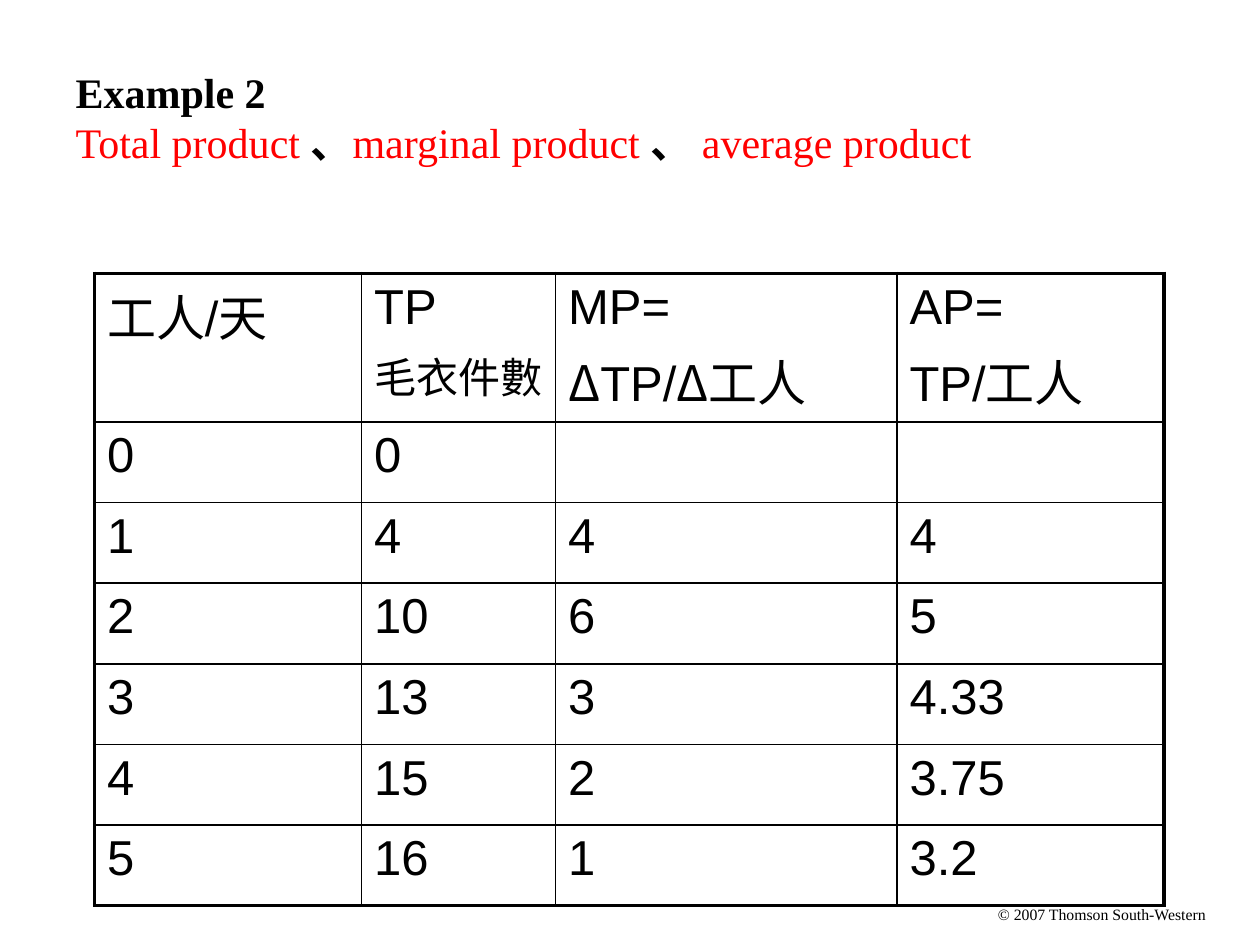
from lxml import etree
from pptx import Presentation
from pptx.dml.color import RGBColor
from pptx.enum import text
from pptx.oxml import ns
from pptx.util import Inches, Pt

BLACK = RGBColor(0x00, 0x00, 0x00)
RED = RGBColor(0xFF, 0x00, 0x00)
SERIF = "Times New Roman"
SANS = "Arial"
CHINESE = "Noto Sans CJK TC"


def add_run(paragraph, content, name, size, color=BLACK, bold=False):
    run = paragraph.add_run()
    run.text = content
    run.font.name = name
    run.font.size = Pt(size)
    run.font.bold = bold
    run.font.color.rgb = color
    etree.SubElement(run._r.get_or_add_rPr(), ns.qn("a:ea"), typeface=CHINESE)


def set_border(cell, side, width):
    line = etree.SubElement(cell._tc.get_or_add_tcPr(), ns.qn(f"a:ln{side}"), w=str(Pt(width)))
    fill = etree.SubElement(line, ns.qn("a:solidFill"))
    etree.SubElement(fill, ns.qn("a:srgbClr"), val=str(BLACK))


presentation = Presentation()
presentation.slide_width = Inches(10)
presentation.slide_height = Inches(7.5)
slide = presentation.slides.add_slide(presentation.slide_layouts[5])

title = slide.shapes.title
title.left, title.top = Inches(0.5), Inches(0.3)
title.width, title.height = Inches(9), Inches(1.25)
title.text_frame.auto_size = text.MSO_AUTO_SIZE.NONE
title.text_frame.vertical_anchor = text.MSO_ANCHOR.MIDDLE
paragraph = title.text_frame.paragraphs[0]
paragraph.alignment = text.PP_ALIGN.LEFT
add_run(paragraph, "Example 2", SERIF, 24, bold=True)
paragraph.add_line_break()
for content, color in [
    ("Total product ", RED),
    ("、", BLACK),
    ("marginal product ", RED),
    ("、 ", BLACK),
    ("average product", RED),
]:
    add_run(paragraph, content, SERIF, 24, color, bold=color == BLACK)

headings = [
    [(28, [("工人/天", SANS)])],
    [(28, [("TP", SANS)]), (24, [("毛衣件數", SANS)])],
    [
        (28, [("MP=", SANS)]),
        (28, [("Δ", CHINESE), ("TP/", SANS), ("Δ", CHINESE), ("工人", SANS)]),
    ],
    [(28, [("AP=", SANS)]), (28, [("TP/工人", SANS)])],
]
values = [
    ("0", "0", "", ""),
    ("1", "4", "4", "4"),
    ("2", "10", "6", "5"),
    ("3", "13", "3", "4.33"),
    ("4", "15", "2", "3.75"),
    ("5", "16", "1", "3.2"),
]
column_widths = [2.12, 1.54, 2.71, 2.12]
row_heights = [1.17] + [0.64] * len(values)

table = slide.shapes.add_table(
    len(row_heights), len(column_widths),
    Inches(0.75), Inches(2.17), Inches(sum(column_widths)), Inches(sum(row_heights)),
).table
table.first_row = False
table.horz_banding = False
for column, width in zip(table.columns, column_widths):
    column.width = Inches(width)
for row, height in zip(table.rows, row_heights):
    row.height = Inches(height)

for column_index, heading in enumerate(headings):
    frame = table.cell(0, column_index).text_frame
    for index, (size, runs) in enumerate(heading):
        paragraph = frame.add_paragraph() if index else frame.paragraphs[0]
        if index:
            paragraph.space_before = Pt(6)
        for content, name in runs:
            add_run(paragraph, content, name, size)

for row_index, row_values in enumerate(values, start=1):
    for column_index, value in enumerate(row_values):
        cell = table.cell(row_index, column_index)
        cell.text = value
        font = cell.text_frame.paragraphs[0].font
        font.name = SANS
        font.size = Pt(28)
        font.color.rgb = BLACK

last_row, last_column = len(row_heights) - 1, len(column_widths) - 1
for row_index in range(last_row + 1):
    for column_index in range(last_column + 1):
        cell = table.cell(row_index, column_index)
        outer_sides = {
            "L": column_index == 0,
            "R": column_index == last_column,
            "T": row_index == 0,
            "B": row_index == last_row,
        }
        for side, is_outer in outer_sides.items():
            set_border(cell, side, 2.25 if is_outer else 1)
        cell.fill.background()

copyright_box = slide.shapes.add_textbox(Inches(7.92), Inches(7.18), Inches(1.66), Inches(0.15))
frame = copyright_box.text_frame
frame.margin_left = frame.margin_top = frame.margin_right = frame.margin_bottom = 0
frame.word_wrap = False
frame.auto_size = text.MSO_AUTO_SIZE.SHAPE_TO_FIT_TEXT
paragraph = frame.paragraphs[0]
paragraph.text = "© 2007 Thomson South-Western"
paragraph.font.name = SERIF
paragraph.font.size = Pt(9)
paragraph.font.color.rgb = BLACK

presentation.save("out.pptx")
